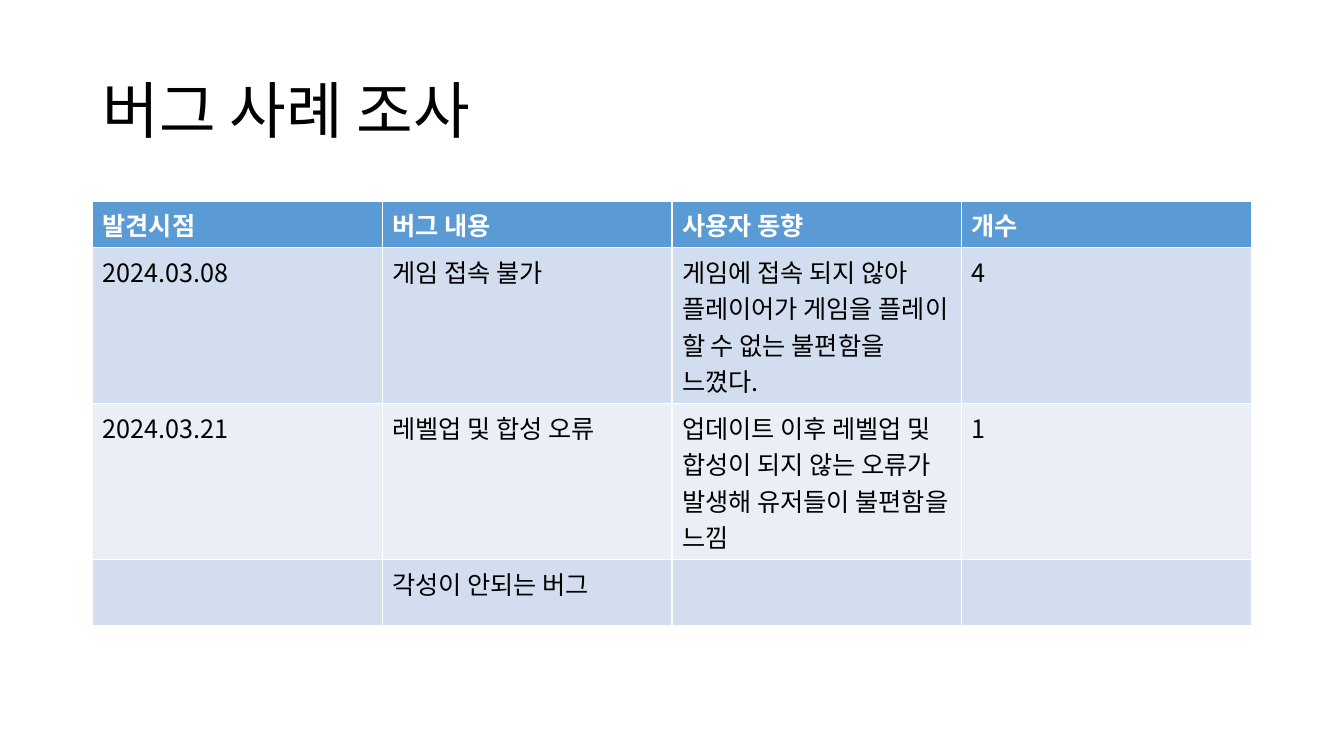
from lxml.etree import SubElement
from pptx import Presentation
from pptx.dml.color import RGBColor
from pptx.enum.text import MSO_ANCHOR as Anchor, PP_ALIGN as Align
from pptx.oxml.ns import qn
from pptx.util import Pt

FONT = "Noto Sans CJK KR"
BLACK = RGBColor(0x00, 0x00, 0x00)
WHITE = RGBColor(0xFF, 0xFF, 0xFF)
HEADER_BLUE = RGBColor(0x5B, 0x9B, 0xD5)
BAND_BLUES = (RGBColor(0xEA, 0xEF, 0xF7), RGBColor(0xD2, 0xDE, 0xEF))

LEFT, WIDTH = 66, 828
ROW_HEIGHTS = (33, 111, 111, 47)
BUG_ROWS = (
    ("발견시점", "버그 내용", "사용자 동향", "개수"),
    ("2024.03.08", "게임 접속 불가",
     "게임에 접속 되지 않아 플레이어가 게임을 플레이 할 수 없는 불편함을 느꼈다.", "4"),
    ("2024.03.21", "레벨업 및 합성 오류",
     "업데이트 이후 레벨업 및 합성이 되지 않는 오류가 발생해 유저들이 불편함을 느낌", "1"),
    ("", "각성이 안되는 버그", "", ""),
)


def style_paragraph(para, size, color, bold=False):
    font = para.font
    font.size = Pt(size)
    font.bold = bold
    font.color.rgb = color
    font.name = FONT
    properties = para._p.pPr.find(qn("a:defRPr"))
    SubElement(properties, qn("a:ea"), typeface=FONT)


def add_title(slide, text):
    title = slide.shapes.title
    title.left, title.top = Pt(LEFT), Pt(28.75)
    title.width, title.height = Pt(WIDTH), Pt(104.38)
    frame = title.text_frame
    frame.text = text
    frame.vertical_anchor = Anchor.MIDDLE
    para = frame.paragraphs[0]
    para.alignment = Align.LEFT
    para.line_spacing = 0.9
    style_paragraph(para, 44, BLACK)


def add_bug_table(slide, rows):
    frame = slide.shapes.add_table(
        len(rows), len(rows[0]), Pt(LEFT), Pt(143.75), Pt(WIDTH), Pt(sum(ROW_HEIGHTS)))
    table = frame.table
    for row, height in zip(table.rows, ROW_HEIGHTS):
        row.height = Pt(height)
    for row_index, texts in enumerate(rows):
        header = row_index == 0
        for column_index, text in enumerate(texts):
            cell = table.cell(row_index, column_index)
            cell.text = text
            cell.fill.solid()
            cell.fill.fore_color.rgb = HEADER_BLUE if header else BAND_BLUES[row_index % 2]
            style_paragraph(cell.text_frame.paragraphs[0], 18,
                            WHITE if header else BLACK, header)


def main():
    deck = Presentation()
    deck.slide_width, deck.slide_height = Pt(960), Pt(540)
    slide = deck.slides.add_slide(deck.slide_layouts[5])
    add_title(slide, "버그 사례 조사")
    add_bug_table(slide, BUG_ROWS)
    deck.save("out.pptx")


if __name__ == "__main__":
    main()
